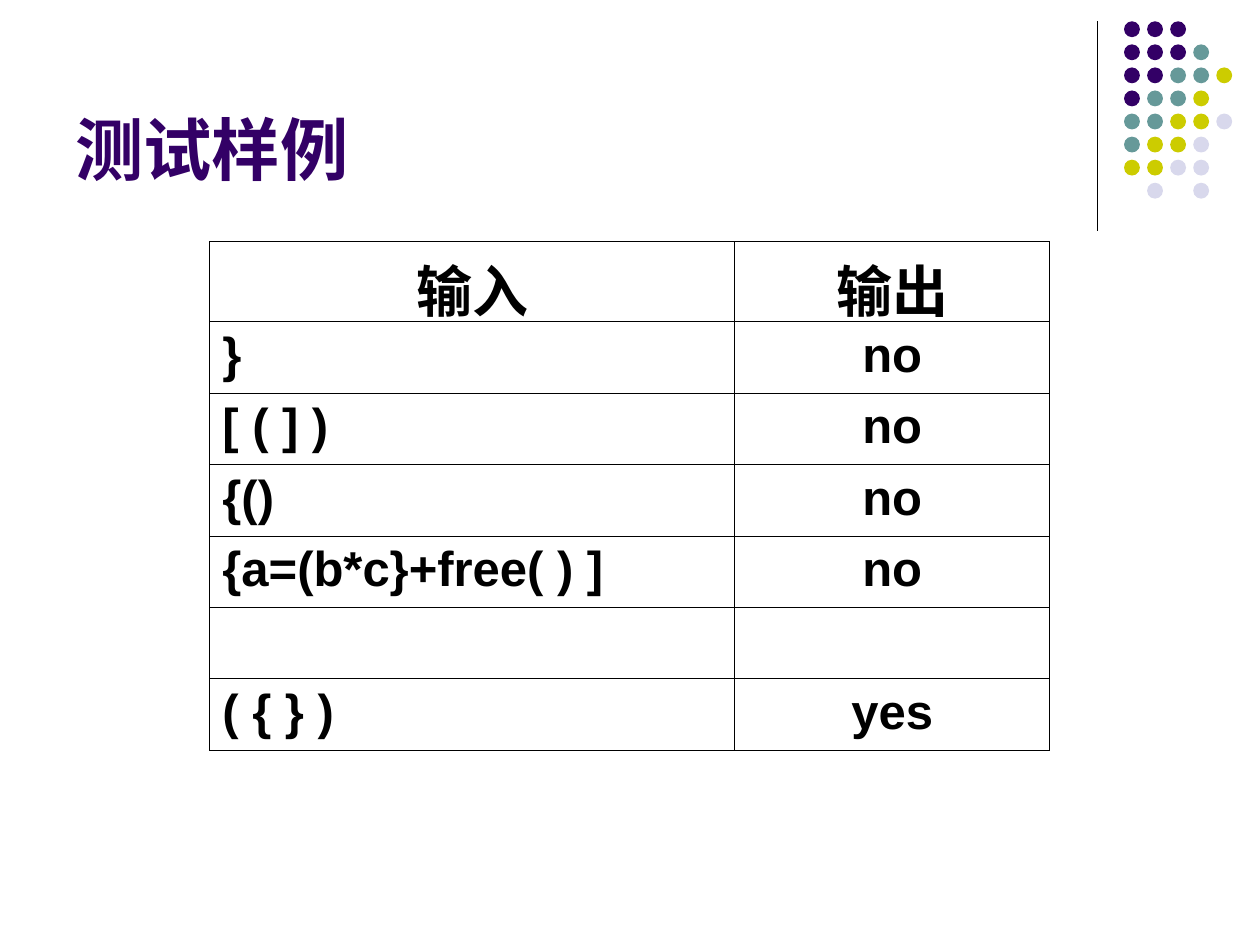
from lxml.etree import SubElement
from pptx import Presentation
from pptx.dml.color import RGBColor
from pptx.enum.shapes import MSO_CONNECTOR, MSO_SHAPE
from pptx.enum.text import MSO_ANCHOR, PP_ALIGN
from pptx.oxml.ns import qn
from pptx.util import Cm, Pt

BLACK = RGBColor(0x00, 0x00, 0x00)
PURPLE = RGBColor(0x33, 0x00, 0x66)
TEAL = RGBColor(0x66, 0x99, 0x99)
OLIVE = RGBColor(0xCC, 0xCC, 0x00)
LILAC = RGBColor(0xD8, 0xD8, 0xEC)

DOT_COLOURS = {"P": PURPLE, "T": TEAL, "O": OLIVE, "L": LILAC}
DOT_ROWS = ["PPP", "PPPT", "PPTTO", "PTTO", "TTOOL", "TOOL", "OOLL", " L L"]
DOT_SIZE = 0.32
DOT_PITCH = 0.465

TEST_CASES = [
    ("输入", "输出"),
    ("}", "no"),
    ("[ ( ] )", "no"),
    ("{()", "no"),
    ("{a=(b*c}+free( ) ]", "no"),
    ("", ""),
    ("( { } )", "yes"),
]


def write(para, text, **formats):
    span = para.add_run()
    span.text = text
    colour = formats.pop("colour")
    for name, value in {"name": "Arial", "bold": True, **formats}.items():
        setattr(span.font, name, value)
    span.font.color.rgb = colour


def add_divider(page, left, top, height):
    line = page.shapes.add_connector(
        MSO_CONNECTOR.STRAIGHT, Cm(left), Cm(top), Cm(left), Cm(top + height))
    line.line.color.rgb = BLACK
    line.line.width = Pt(0.75)
    SubElement(line._element.spPr, qn("a:effectLst"))


def add_dots(page, left, top):
    group = page.shapes.add_group_shape()
    for row, pattern in enumerate(DOT_ROWS):
        for column, key in enumerate(pattern):
            if key == " ":
                continue
            dot = group.shapes.add_shape(
                MSO_SHAPE.OVAL, Cm(left + column * DOT_PITCH),
                Cm(top + row * DOT_PITCH), Cm(DOT_SIZE), Cm(DOT_SIZE))
            dot.shadow.inherit = False
            dot.fill.solid()
            dot.fill.fore_color.rgb = DOT_COLOURS[key]
            dot.line.fill.background()


def add_title(page, left, top, width, height):
    box = page.shapes.add_textbox(Cm(left), Cm(top), Cm(width), Cm(height))
    box.text_frame.word_wrap = True
    box.text_frame.vertical_anchor = MSO_ANCHOR.BOTTOM
    write(box.text_frame.paragraphs[0], "测试样例", size=Pt(39), colour=PURPLE)


def add_borders(cell):
    """Draw a thin black line on all four sides; call before setting the fill."""
    properties = cell._tc.get_or_add_tcPr()
    for side in ("a:lnL", "a:lnR", "a:lnT", "a:lnB"):
        edge = SubElement(properties, qn(side), w=str(Pt(0.45)))
        fill = SubElement(edge, qn("a:solidFill"))
        SubElement(fill, qn("a:srgbClr"), val=str(BLACK))


def add_test_table(page, left, top, column_widths, header_height, row_height):
    heights = [header_height] + [row_height] * (len(TEST_CASES) - 1)
    table = page.shapes.add_table(
        len(heights), len(column_widths), Cm(left), Cm(top),
        Cm(sum(column_widths)), Cm(sum(heights))).table
    table.first_row = table.horz_banding = False
    for column, width in zip(table.columns, column_widths):
        column.width = Cm(width)
    for row, height in zip(table.rows, heights):
        row.height = Cm(height)
    for row, texts in enumerate(TEST_CASES):
        for column, text in enumerate(texts):
            cell = table.cell(row, column)
            add_borders(cell)
            cell.fill.background()
            if not text:
                continue
            para = cell.text_frame.paragraphs[0]
            centred = row == 0 or column == 1
            para.alignment = PP_ALIGN.CENTER if centred else PP_ALIGN.LEFT
            write(para, text, size=Pt(28 if row else 32), colour=BLACK)


def main():
    deck = Presentation()
    deck.slide_width, deck.slide_height = Cm(25.4), Cm(19.05)
    page = deck.slides.add_slide(deck.slide_layouts[6])
    add_divider(page, left=22.12, top=0.43, height=4.22)
    add_dots(page, left=22.66, top=0.43)
    add_title(page, left=1.27, top=0.33, width=20.96, height=3.61)
    add_test_table(page, left=4.23, top=4.87, column_widths=(10.58, 6.35),
                   header_height=1.6, row_height=1.44)
    deck.save("out.pptx")


if __name__ == "__main__":
    main()
